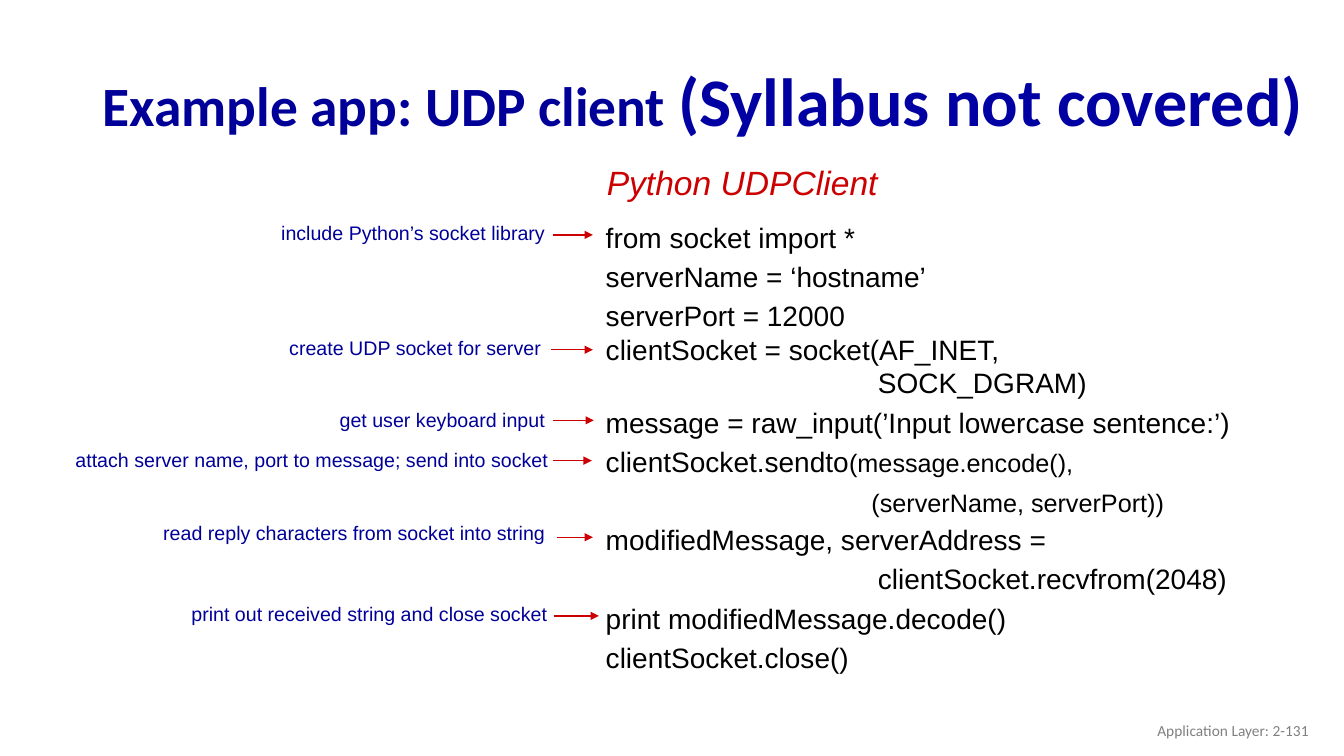
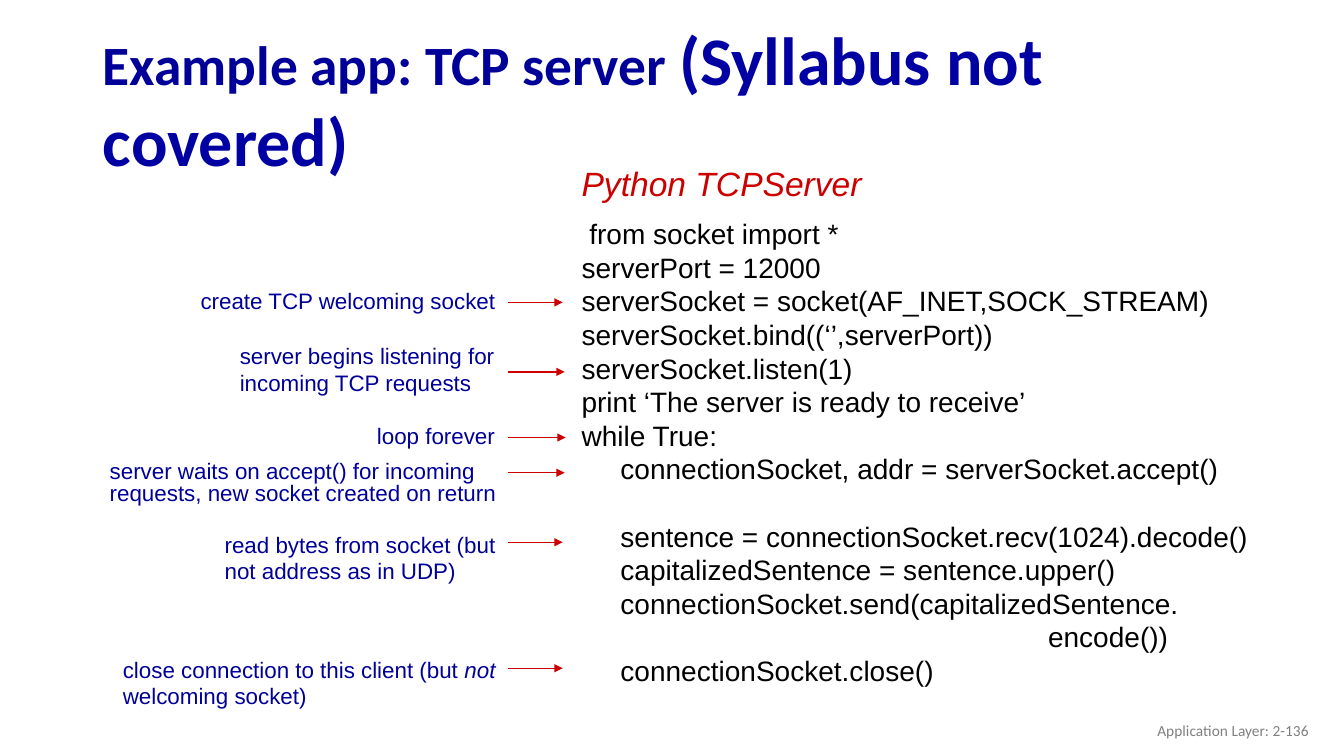
from typing import NamedTuple

from lxml.etree import SubElement
from pptx import Presentation
from pptx.dml.color import RGBColor
from pptx.enum.shapes import MSO_CONNECTOR
from pptx.enum.text import MSO_ANCHOR, MSO_AUTO_SIZE, PP_ALIGN
from pptx.oxml.ns import qn
from pptx.util import Inches, Pt

NAVY = RGBColor(0x00, 0x00, 0x99)
BLUE = RGBColor(0x00, 0x00, 0xA3)
RED = RGBColor(0xCC, 0x00, 0x00)
BLACK = RGBColor(0x00, 0x00, 0x00)
GRAY = RGBColor(0x80, 0x80, 0x80)

CODE_FONT = "Arial"
TITLE_FONT = "Calibri"
CELL = Inches(0.1)  # side of one grid column or row
CODE_SIZE = 20
SMALL_CODE_SIZE = 18
CODE_WIDTH = 70


class Span(NamedTuple):
    text: str
    size: float
    color: RGBColor
    font: str = CODE_FONT
    bold: bool = False
    italic: bool = False


class CodeLine(NamedTuple):
    """One code line: normal text, then smaller text; lengths in points."""
    text: str
    small: str = ""
    leading: float = 24
    before: float = 0


class Note(NamedTuple):
    """A remark box and its arrow, in grid cells; odd spans are italic."""
    left: float
    top: float
    width: float
    leading: float
    arrow_start: float
    arrow_end: float
    arrow_row: float
    texts: tuple


def grid(*cells):
    return [round(cell * CELL) for cell in cells]


class CodeDeck:
    def __init__(self):
        self.deck = Presentation()
        self.deck.slide_width = Inches(13.33)
        self.deck.slide_height = Inches(7.5)
        self.page = None

    def add_page(self, title, title_width, number):
        layout = self.deck.slide_layouts.get_by_name("Title Only")
        self.page = self.deck.slides.add_slide(layout)
        self.title(title, title_width)
        self.footer(number)

    def fill(self, para, spans, leading=None, before=0):
        para.alignment = PP_ALIGN.LEFT
        if leading:
            para.line_spacing = Pt(leading)
        para.space_before = Pt(before)
        for span in spans:
            run = para.add_run()
            run.text = span.text
            run.font.name = span.font
            run.font.size = Pt(span.size)
            run.font.bold = span.bold
            run.font.italic = span.italic
            run.font.color.rgb = span.color

    def title(self, text, width):
        box = self.page.shapes.title
        box.left, box.top, box.width, box.height = grid(9.2, 4.9, width, 9.8)
        frame = box.text_frame
        frame.auto_size = MSO_AUTO_SIZE.NONE
        frame.vertical_anchor = MSO_ANCHOR.MIDDLE
        self.fill(frame.paragraphs[0], [
            Span(text + " ", 39.6, NAVY, TITLE_FONT, bold=True),
            Span("(Syllabus not covered)", 48.6, BLUE, TITLE_FONT, bold=True),
        ])

    def text_frame(self, left, top, width, height):
        box = self.page.shapes.add_textbox(*grid(left, top, width, height))
        box.text_frame.word_wrap = True
        return box.text_frame

    def footer(self, number):
        frame = self.text_frame(100.8, 70.5, 30, 4)
        frame.vertical_anchor = MSO_ANCHOR.MIDDLE
        para = frame.paragraphs[0]
        text = f"Application Layer: {number}"
        self.fill(para, [Span(text, 11, GRAY, TITLE_FONT)])
        para.alignment = PP_ALIGN.RIGHT

    def heading(self, text, left, top):
        frame = self.text_frame(left, top, 40, 5.1)
        self.fill(frame.paragraphs[0], [Span(text, 24, RED, italic=True)])

    def code(self, lines, left, top):
        frame = self.text_frame(left, top, CODE_WIDTH, 50)
        for index, line in enumerate(lines):
            para = frame.add_paragraph() if index else frame.paragraphs[0]
            spans = [Span(line.text, CODE_SIZE, BLACK),
                     Span(line.small, SMALL_CODE_SIZE, BLACK)]
            spans = [span for span in spans if span.text]
            self.fill(para, spans, line.leading, line.before)

    def arrow(self, start, end, row):
        line = self.page.shapes.add_connector(
            MSO_CONNECTOR.STRAIGHT, *grid(start, row, end, row))
        line.line.color.rgb = RED
        line.line.width = Pt(1)
        SubElement(line.line._get_or_add_ln(), qn("a:tailEnd"), type="triangle")
        SubElement(line._element.spPr, qn("a:effectLst"))

    def note(self, note, size):
        frame = self.text_frame(note.left, note.top, note.width, 3.4)
        spans = [Span(text, size, NAVY, italic=index % 2 == 1)
                 for index, text in enumerate(note.texts)]
        self.fill(frame.paragraphs[0], spans, note.leading)
        self.arrow(note.arrow_start, note.arrow_end, note.arrow_row)


CLIENT_CODE = [
    CodeLine("from socket import *", leading=28),
    CodeLine("serverName = ‘hostname’", leading=28),
    CodeLine("serverPort = 12000", leading=28),
    CodeLine("clientSocket = socket(AF_INET,"),
    CodeLine("                                   SOCK_DGRAM)"),
    CodeLine("message = raw_input(’Input lowercase sentence:’)", leading=28),
    CodeLine("clientSocket.sendto", "(message.encode(),", leading=28),
    CodeLine("", "                                      (serverName, serverPort))",
             leading=28),
    CodeLine("modifiedMessage, serverAddress =", leading=28),
    CodeLine("                                   clientSocket.recvfrom(2048)",
             leading=28),
    CodeLine("print modifiedMessage.decode()", leading=28),
    CodeLine("clientSocket.close()", leading=28),
]

CLIENT_NOTES = [
    Note(26.9, 21.5, 33.1, 16, 54.8, 58.8, 23.3,
         ("include Python’s socket library",)),
    Note(27.7, 32.8, 32.2, 17, 54.7, 58.8, 34.7,
         ("create UDP socket for server",)),
    Note(32.7, 40.1, 32.2, 16, 54.8, 58.9, 41.7,
         ("get user keyboard input",)),
    Note(6.5, 43.9, 51.6, 17, 54.8, 58.7, 45.7,
         ("attach server name, port to message; send into socket",)),
    Note(15.2, 51.2, 44.7, 17, 55.2, 58.8, 53.3,
         ("read reply characters from socket into string",)),
    Note(18, 59.2, 40.3, 17, 54.9, 59.4, 61.1,
         ("print out received string and close socket",)),
]

SERVER_CODE = [
    CodeLine(" from socket import *"),
    CodeLine("serverPort = 12000"),
    CodeLine("serverSocket = socket(AF_INET,SOCK_STREAM)"),
    CodeLine("serverSocket.bind((‘’,serverPort))"),
    CodeLine("serverSocket.listen(1)"),
    CodeLine("print ‘The server is ready to receive’"),
    CodeLine("while True:"),
    CodeLine("     connectionSocket, addr = serverSocket.accept()"),
    CodeLine("     sentence = connectionSocket.recv(1024).decode()", before=24),
    CodeLine("     capitalizedSentence = sentence.upper()"),
    CodeLine("     connectionSocket.send(capitalizedSentence."),
    CodeLine("                                                            encode())"),
    CodeLine("     connectionSocket.close()"),
]

SERVER_NOTES = [
    Note(18.9, 28, 33.5, 19, 50.4, 55.8, 30,
         ("create TCP welcoming socket",)),
    Note(22.8, 33.5, 31.4, 19, 50.4, 56, 36.9,
         ("server begins listening for incoming TCP requests",)),
    Note(36.4, 41.8, 20.3, 16, 50.4, 56.1, 43.4,
         ("loop forever",)),
    Note(9.9, 45.3, 46.7, 16, 50.4, 56, 46.9,
         ("server waits on accept() for incoming requests, "
          "new socket created on return",)),
    Note(21.3, 52.2, 30, 19, 50.4, 55.8, 53.8,
         ("read bytes from socket (but not address as in UDP)",)),
    Note(11.2, 64.6, 42.7, 19, 50.4, 55.8, 66.3,
         ("close connection to this client (but ", "not",
          " welcoming socket)")),
]


def main():
    slides = CodeDeck()

    slides.add_page("Example app: UDP client", 124.2, "2-131")
    slides.code(CLIENT_CODE, 59.1, 20.8)
    slides.heading("Python UDPClient", 59.2, 15.6)
    for note in CLIENT_NOTES:
        slides.note(note, 14)

    slides.add_page("Example app: TCP server", 115, "2-136")
    slides.code(SERVER_CODE, 56.7, 21)
    slides.heading("Python TCPServer", 56.7, 15.7)
    for note in SERVER_NOTES:
        slides.note(note, 16)

    slides.deck.save("out.pptx")


if __name__ == "__main__":
    main()
